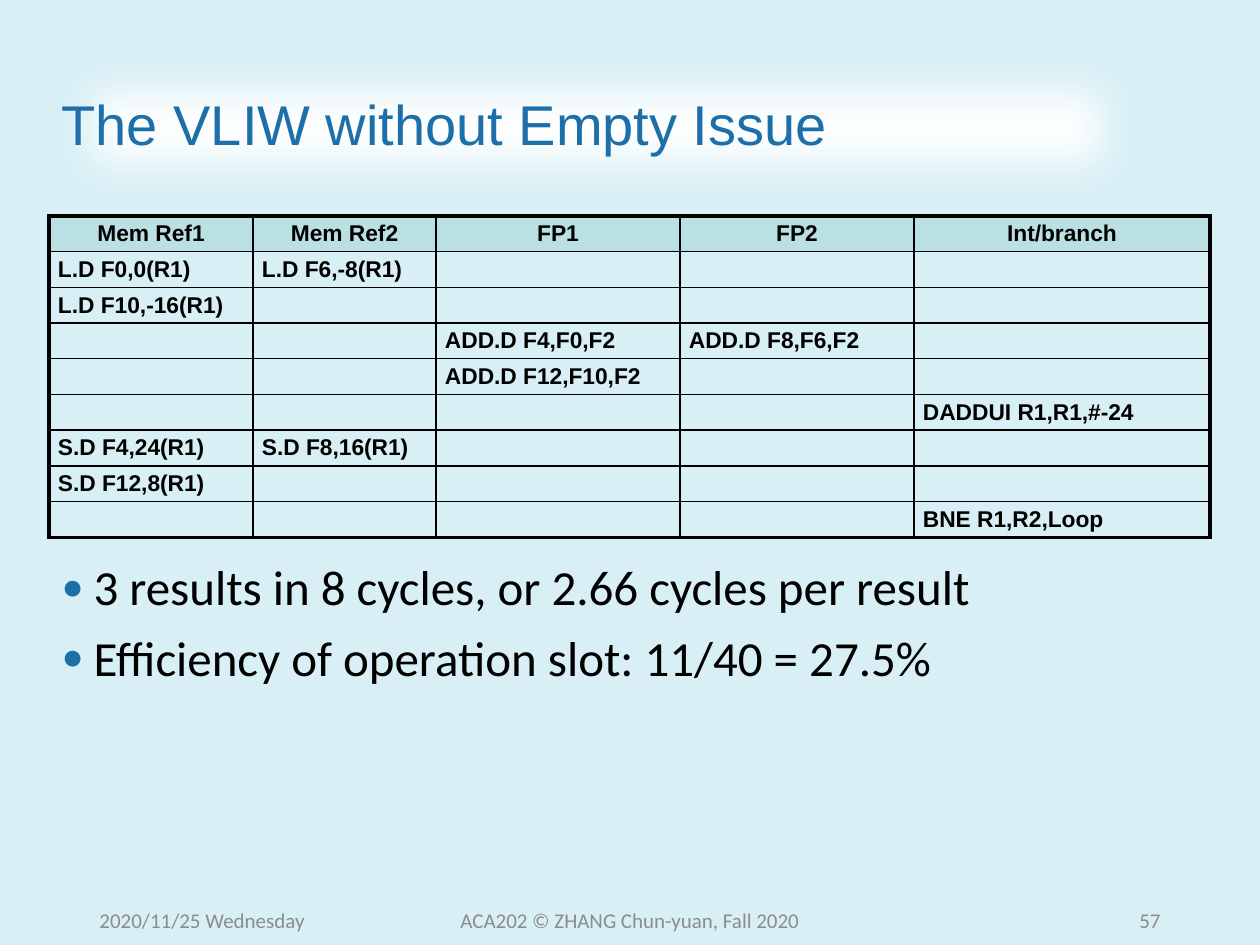
from dataclasses import dataclass

from lxml.etree import SubElement
from pptx import Presentation
from pptx.dml.color import RGBColor
from pptx.enum.text import MSO_ANCHOR, MSO_AUTO_SIZE, PP_ALIGN
from pptx.oxml.ns import qn
from pptx.util import Emu, Pt

SCALE = 914400 / 126
BLACK, BLUE, GREY = "000000", "1D6FA9", "8C8C8C"


@dataclass
class Box:
    x: int
    y: int
    w: int
    h: int


@dataclass
class Footer:
    text: str
    box: Box
    align: PP_ALIGN


TITLE = Box(49, 50, 1095, 155)
TABLE = Box(49, 216, 1161, 321)
BODY = Box(49, 557, 1162, 331)
COLUMNS = [204, 183, 244, 234, 296]
HEADERS = ["Mem Ref1", "Mem Ref2", "FP1", "FP2", "Int/branch"]
CYCLES = [
    ["L.D F0,0(R1)", "L.D F6,-8(R1)", "", "", ""],
    ["L.D F10,-16(R1)", "", "", "", ""],
    ["", "", "ADD.D F4,F0,F2", "ADD.D F8,F6,F2", ""],
    ["", "", "ADD.D F12,F10,F2", "", ""],
    ["", "", "", "", "DADDUI R1,R1,#-24"],
    ["S.D F4,24(R1)", "S.D F8,16(R1)", "", "", ""],
    ["S.D F12,8(R1)", "", "", "", ""],
    ["", "", "", "", "BNE R1,R2,Loop"],
]
RESULTS = [
    "3 results in 8 cycles, or 2.66 cycles per result",
    "Efficiency of operation slot: 11/40 = 27.5%",
]
FOOTERS = [
    Footer("2020/11/25 Wednesday", Box(87, 895, 284, 50), PP_ALIGN.LEFT),
    Footer("ACA202 © ZHANG Chun-yuan, Fall 2020", Box(417, 895, 426, 50), PP_ALIGN.CENTER),
    Footer("57", Box(890, 895, 283, 50), PP_ALIGN.RIGHT),
]


def px(n: int) -> Emu:
    return Emu(round(n * SCALE))


def rgb(color: str) -> RGBColor:
    return RGBColor.from_string(color)


def place(sp, box: Box) -> None:
    sp.left, sp.top, sp.width, sp.height = px(box.x), px(box.y), px(box.w), px(box.h)


def add_run(p, text: str, size: int, font: str, color: str, bold: bool = False) -> None:
    r = p.add_run()
    r.text = text
    r.font.size, r.font.name, r.font.bold = Pt(size), font, bold
    r.font.color.rgb = rgb(color)


def set_border(cell, side: str, width: float) -> None:
    ln = SubElement(cell._tc.get_or_add_tcPr(), qn(f"a:ln{side}"), w=str(Pt(width)))
    SubElement(SubElement(ln, qn("a:solidFill")), qn("a:srgbClr"), val=BLACK)


def add_title(s) -> None:
    sp = s.shapes.title
    place(sp, TITLE)
    sp.fill.solid()
    sp.fill.fore_color.rgb = rgb("FFFFFF")
    effects = SubElement(sp._element.spPr, qn("a:effectLst"))
    SubElement(effects, qn("a:softEdge"), rad=str(px(44)))
    tf = sp.text_frame
    tf.vertical_anchor, tf.auto_size = MSO_ANCHOR.MIDDLE, MSO_AUTO_SIZE.NONE
    p = tf.paragraphs[0]
    p.alignment, p.line_spacing = PP_ALIGN.LEFT, 0.9
    add_run(p, "The VLIW without Empty Issue", 32, "Arial", BLUE)


def fill_cell(cell, text: str, header: bool) -> None:
    cell.margin_left = cell.margin_right = px(9)
    cell.margin_top = cell.margin_bottom = px(4)
    cell.vertical_anchor = MSO_ANCHOR.MIDDLE
    if header:
        cell.fill.solid()
        cell.fill.fore_color.rgb = rgb("BBE0E3")
    else:
        cell.fill.background()
    p = cell.text_frame.paragraphs[0]
    p.alignment = PP_ALIGN.CENTER if header else PP_ALIGN.LEFT
    if text:
        add_run(p, text, 13, "Arial", BLACK, True)
    else:
        SubElement(p._p, qn("a:endParaRPr"), sz="1300")


def add_schedule(s) -> None:
    rows = [HEADERS, *CYCLES]
    last_row, last_col = len(rows) - 1, len(COLUMNS) - 1
    table = s.shapes.add_table(
        len(rows), len(COLUMNS), px(TABLE.x), px(TABLE.y), px(TABLE.w), px(TABLE.h)
    ).table
    table.horz_banding = False
    for column, width in zip(table.columns, COLUMNS):
        column.width = px(width)
    for i, row in enumerate(rows):
        table.rows[i].height = px(TABLE.h) // len(rows)
        for j, text in enumerate(row):
            cell = table.cell(i, j)
            outer = {"L": j == 0, "R": j == last_col, "T": i == 0, "B": i == last_row}
            for side, is_outer in outer.items():
                set_border(cell, side, 2.25 if is_outer else 1)
            fill_cell(cell, text, i == 0)


def add_results(s) -> None:
    sp = s.placeholders[1]
    place(sp, BODY)
    tf = sp.text_frame
    tf.auto_size = MSO_AUTO_SIZE.NONE
    for i, text in enumerate(RESULTS):
        p = tf.add_paragraph() if i else tf.paragraphs[0]
        p.line_spacing, p.space_before = 0.9, Pt(10 if i else 0)
        pPr = p._p.get_or_add_pPr()
        pPr.set("marL", str(px(32)))
        pPr.set("indent", str(-px(32)))
        SubElement(SubElement(pPr, qn("a:buClr")), qn("a:srgbClr"), val=BLUE)
        SubElement(pPr, qn("a:buSzPct"), val="75000")
        SubElement(pPr, qn("a:buChar"), char="●")
        add_run(p, text, 28, "Calibri", BLACK)


def add_footer(s, footer: Footer) -> None:
    b = footer.box
    tf = s.shapes.add_textbox(px(b.x), px(b.y), px(b.w), px(b.h)).text_frame
    tf.word_wrap, tf.vertical_anchor = True, MSO_ANCHOR.MIDDLE
    p = tf.paragraphs[0]
    p.alignment = footer.align
    add_run(p, footer.text, 12, "Calibri", GREY)


def main() -> None:
    prs = Presentation()
    prs.slide_width, prs.slide_height = px(1260), px(945)
    s = prs.slides.add_slide(prs.slide_layouts[1])
    s.background.fill.solid()
    s.background.fill.fore_color.rgb = rgb("D7EFF5")
    add_title(s)
    add_schedule(s)
    for footer in FOOTERS:
        add_footer(s, footer)
    add_results(s)
    prs.save("out.pptx")


if __name__ == "__main__":
    main()
